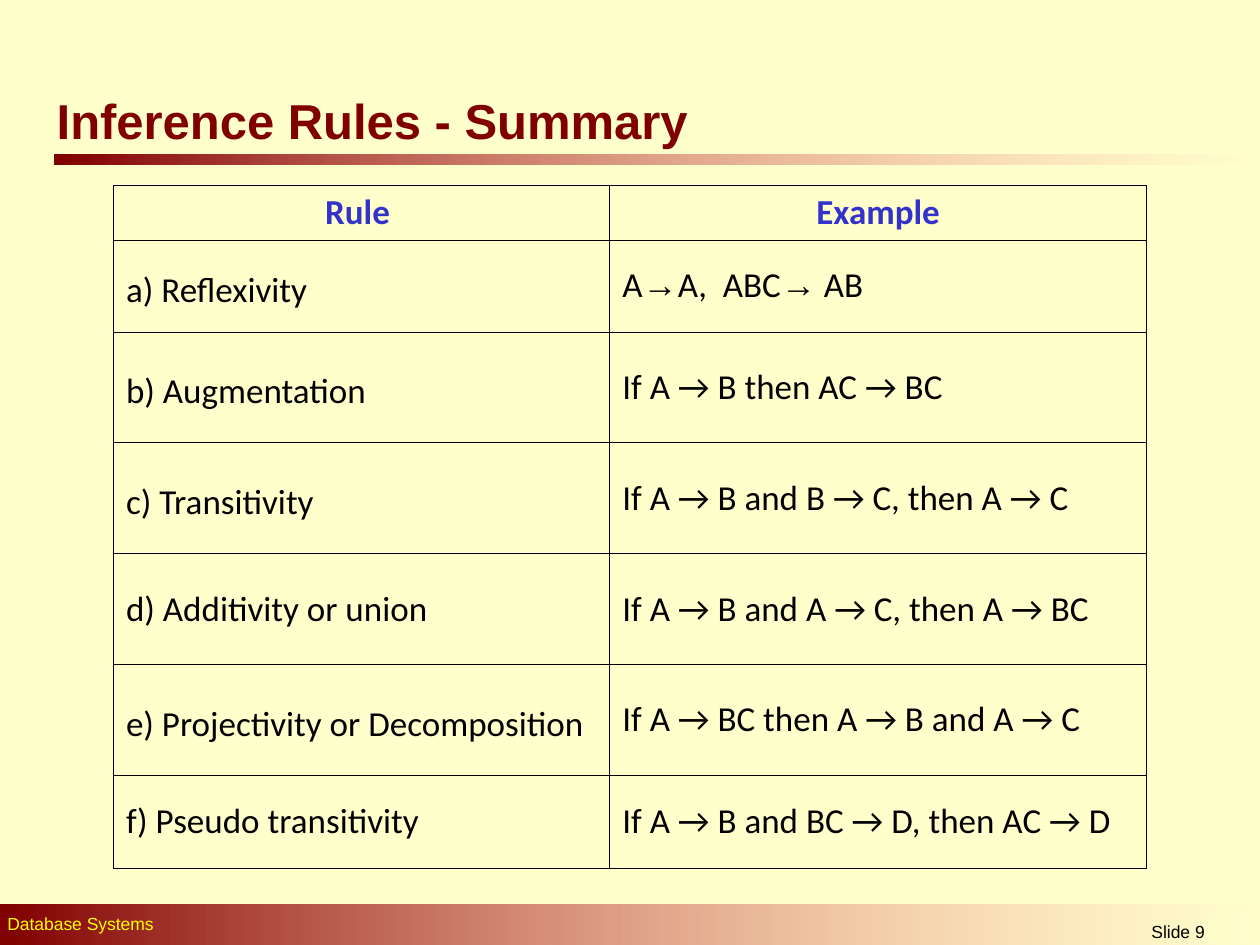
from lxml.etree import SubElement
from pptx import Presentation
from pptx.dml.color import RGBColor
from pptx.enum.shapes import MSO_SHAPE
from pptx.enum.text import MSO_ANCHOR, PP_ALIGN
from pptx.oxml import parse_xml
from pptx.oxml.ns import nsdecls, qn
from pptx.util import Inches, Pt

CREAM = RGBColor(0xFF, 0xFF, 0xCC)
MAROON = RGBColor(0x80, 0x00, 0x00)
PINK = RGBColor(0xFF, 0x85, 0x85)
YELLOW = RGBColor(0xFF, 0xFF, 0x00)
BLUE = RGBColor(0x33, 0x33, 0xCC)
BLACK = RGBColor(0x00, 0x00, 0x00)

COLUMN_WIDTHS = [3.94, 4.26]
HEADINGS = ["Rule ", "Example"]
RULES = [
    ("a) Reflexivity", ["A", "→", "A,  ABC", "→", " AB"], 0.73, 1.2),
    ("b) Augmentation", ["If A → B then AC → BC"], 0.88, 1.2),
    ("c) Transitivity", ["If A → B and B → C, then A → C"], 0.88, 1.2),
    ("d) Additivity or union", ["If A → B and A → C, then A → BC"], 0.88, None),
    ("e) Projectivity or Decomposition", ["If A → BC then A → B and A → C"], 0.88, 1.2),
    ("f) Pseudo transitivity", ["If A → B and BC → D, then AC → D"], 0.74, None),
]


def place(shape, box):
    """Move a shape to a box of left, top, width and height in inches."""
    shape.left, shape.top, shape.width, shape.height = map(Inches, box)


def add_run(paragraph, text, size, color, font="Arial", bold=False):
    """Append one formatted run to a paragraph."""
    run = paragraph.add_run()
    run.text = text
    run.font.name = font
    run.font.size = Pt(size)
    run.font.bold = bold
    run.font.color.rgb = color


def add_fading_band(slide, box):
    """Draw a maroon band that fades out towards the right."""
    band = slide.shapes.add_shape(MSO_SHAPE.RECTANGLE, *map(Inches, box))
    band.shadow.inherit = False
    band.line.fill.background()
    band.fill.gradient()
    band.fill.gradient_angle = 0
    for stop, color, position in zip(band.fill.gradient_stops, (MAROON, PINK), (0, 1)):
        stop.color.rgb = color
        stop.position = position
    faded = band._element.spPr.findall(".//" + qn("a:srgbClr"))[-1]
    SubElement(faded, qn("a:alpha")).set("val", "0")


def add_label(slide, box, text, color, align=PP_ALIGN.LEFT, space_before=0):
    """Write one small line of footer text."""
    label = slide.shapes.add_textbox(*map(Inches, box))
    label.text_frame.word_wrap = True
    paragraph = label.text_frame.paragraphs[0]
    paragraph.alignment = align
    paragraph.space_before = Pt(space_before)
    add_run(paragraph, text, 10, color)


def add_title(slide, box, text):
    """Move and format the title placeholder."""
    title = slide.shapes.title
    place(title, box)
    title.text_frame.word_wrap = True
    title.text_frame.vertical_anchor = MSO_ANCHOR.MIDDLE
    paragraph = title.text_frame.paragraphs[0]
    paragraph.alignment = PP_ALIGN.LEFT
    add_run(paragraph, text, 28, MAROON, bold=True)


def outline_cell(cell):
    """Clear the fill of a cell and give it thin black borders."""
    cell.fill.background()
    properties = cell._tc.get_or_add_tcPr()
    for index, side in enumerate("LRTB"):
        properties.insert(index, parse_xml(
            f'<a:ln{side} {nsdecls("a")} w="{Pt(0.45)}"><a:solidFill>'
            f'<a:srgbClr val="{BLACK}"/></a:solidFill></a:ln{side}>'))


def fill_heading(cell, text):
    """Write a centred column heading."""
    outline_cell(cell)
    paragraph = cell.text_frame.paragraphs[0]
    paragraph.alignment = PP_ALIGN.CENTER
    add_run(paragraph, text, 20, BLUE, "Calibri", True)


def fill_body(cell, parts, line_spacing=None):
    """Write a body cell, with stand-alone arrows in Arial."""
    outline_cell(cell)
    cell.vertical_anchor = MSO_ANCHOR.MIDDLE
    paragraph = cell.text_frame.paragraphs[0]
    paragraph.line_spacing = line_spacing
    for part in parts:
        add_run(paragraph, part, 20, BLACK, "Arial" if part == "→" else "Calibri")


def add_rules_table(slide, box):
    """Build the table of inference rules and their examples."""
    table = slide.shapes.add_table(
        len(RULES) + 1, len(HEADINGS), *map(Inches, box)).table
    table.first_row = table.horz_banding = False
    for column, width in zip(table.columns, COLUMN_WIDTHS):
        column.width = Inches(width)
    table.rows[0].height = Inches(0.43)
    for index, heading in enumerate(HEADINGS):
        fill_heading(table.cell(0, index), heading)
    for row, (rule, example, height, line_spacing) in enumerate(RULES, 1):
        table.rows[row].height = Inches(height)
        fill_body(table.cell(row, 0), [rule], line_spacing)
        fill_body(table.cell(row, 1), example)


def main():
    """Build and save the slide."""
    deck = Presentation()
    deck.slide_width, deck.slide_height = Inches(10), Inches(7.5)
    slide = deck.slides.add_slide(deck.slide_layouts[5])
    slide.background.fill.solid()
    slide.background.fill.fore_color.rgb = CREAM
    add_fading_band(slide, (0.43, 1.23, 9.57, 0.08))
    add_fading_band(slide, (0, 7.18, 10.03, 0.35))
    add_label(slide, (-0.04, 7.2, 6.46, 0.27), "Database Systems", YELLOW, space_before=6.2)
    add_label(slide, (8.31, 7.26, 2.08, 0.24), "Slide 9", BLACK, PP_ALIGN.CENTER)
    add_title(slide, (0.35, 0.68, 5.63, 0.55), "Inference Rules - Summary")
    add_rules_table(slide, (0.9, 1.47, 8.2, 5.43))
    deck.save("out.pptx")


if __name__ == "__main__":
    main()
